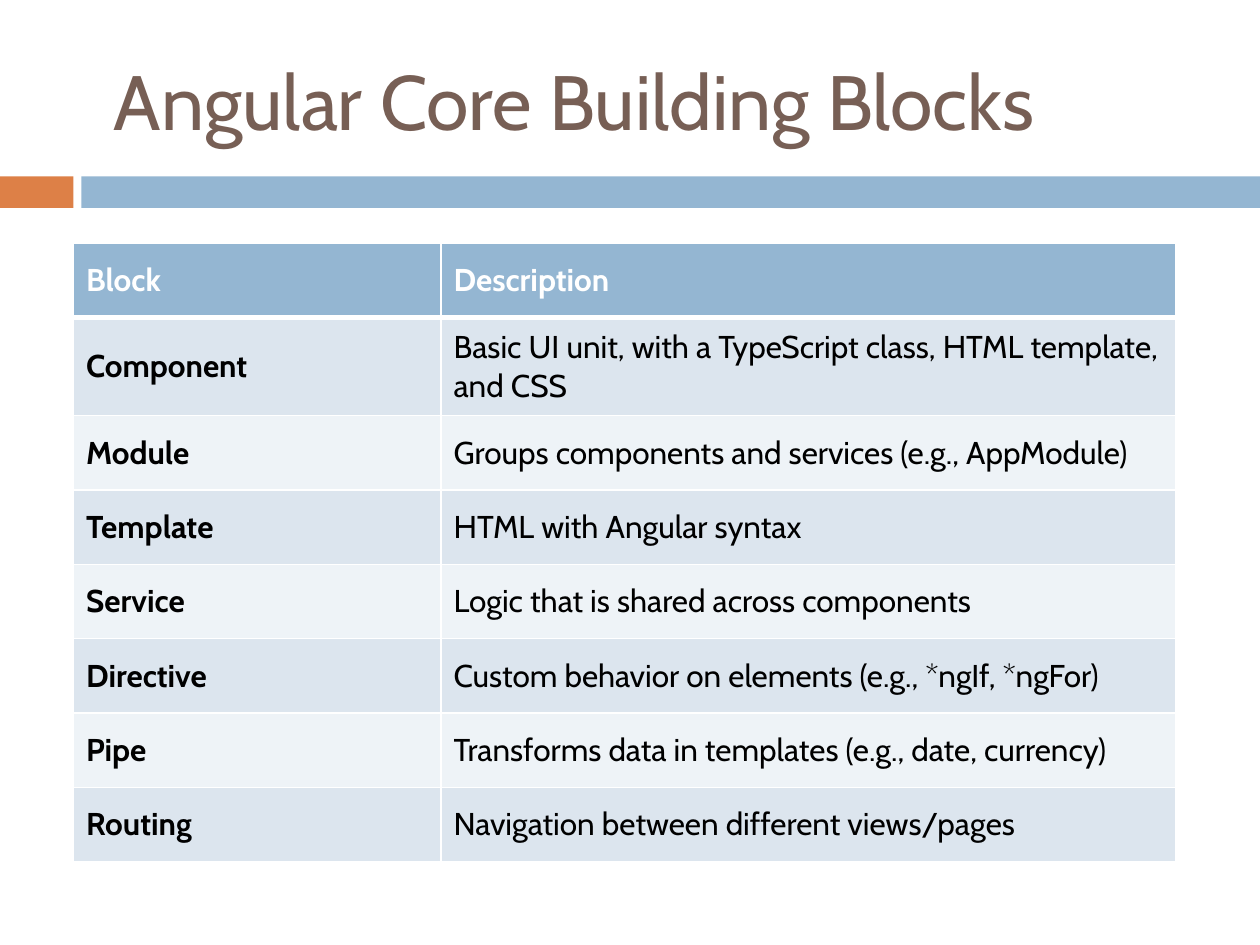
from dataclasses import dataclass

from lxml.etree import SubElement
from pptx import Presentation
from pptx.dml.color import RGBColor
from pptx.enum.shapes import MSO_SHAPE
from pptx.enum.text import MSO_ANCHOR
from pptx.oxml.ns import qn
from pptx.util import Pt


@dataclass(frozen=True)
class Theme:
    font: str = "Cabin"
    title_size: float = 44
    body_size: float = 18
    title: str = "775F55"
    accent: str = "DD8047"
    header: str = "94B6D2"
    bands: tuple = ("DCE5EE", "EEF3F7")
    text: str = "000000"
    white: str = "FFFFFF"


class SlideBuilder:
    def __init__(self, slide, theme):
        self.slide = slide
        self.theme = theme

    def format_text(self, text_frame, size, color, bold=False):
        for paragraph in text_frame.paragraphs:
            for run in paragraph.runs:
                run.font.name = self.theme.font
                run.font.size = Pt(size)
                run.font.bold = bold
                run.font.color.rgb = RGBColor.from_string(color)

    def bar(self, left, top, width, height, color):
        shape = self.slide.shapes.add_shape(
            MSO_SHAPE.RECTANGLE, Pt(left), Pt(top), Pt(width), Pt(height))
        shape.shadow.inherit = False
        shape.fill.solid()
        shape.fill.fore_color.rgb = RGBColor.from_string(color)
        shape.line.fill.background()

    def title(self, text, left, top, width, height):
        shape = self.slide.shapes.add_textbox(Pt(left), Pt(top), Pt(width), Pt(height))
        text_frame = shape.text_frame
        text_frame.word_wrap = True
        text_frame.vertical_anchor = MSO_ANCHOR.MIDDLE
        text_frame.margin_left = Pt(17)
        text_frame.text = text
        self.format_text(text_frame, self.theme.title_size, self.theme.title)

    def cell_borders(self, cell, bottom_width):
        properties = cell._tc.get_or_add_tcPr()
        widths = {"a:lnL": 1, "a:lnR": 1, "a:lnT": 1, "a:lnB": bottom_width}
        for position, (tag, width) in enumerate(widths.items()):
            line = SubElement(properties, qn(tag), w=str(Pt(width)))
            fill = SubElement(line, qn("a:solidFill"))
            SubElement(fill, qn("a:srgbClr"), val=self.theme.white)
            properties.insert(position, line)

    def cell(self, cell, text, fill, color, bold, bottom_width):
        cell.text_frame.text = text
        cell.vertical_anchor = MSO_ANCHOR.MIDDLE
        cell.fill.solid()
        cell.fill.fore_color.rgb = RGBColor.from_string(fill)
        self.format_text(cell.text_frame, self.theme.body_size, color, bold)
        self.cell_borders(cell, bottom_width)

    def table(self, rows, left, top, column_widths, row_heights):
        table = self.slide.shapes.add_table(
            len(rows), len(column_widths), Pt(left), Pt(top),
            Pt(sum(column_widths)), Pt(sum(row_heights))).table
        for column, width in zip(table.columns, column_widths):
            column.width = Pt(width)
        for row_index, (values, height) in enumerate(zip(rows, row_heights)):
            table.rows[row_index].height = Pt(height)
            is_header = row_index == 0
            fill = self.theme.header if is_header else self.theme.bands[(row_index - 1) % 2]
            color = self.theme.white if is_header else self.theme.text
            for column_index, text in enumerate(values):
                self.cell(table.cell(row_index, column_index), text, fill, color,
                          bold=is_header or column_index == 0,
                          bottom_width=3 if is_header else 1)


BLOCKS = [
    ("Block", "Description"),
    ("Component", "Basic UI unit, with a TypeScript class, HTML template, and CSS"),
    ("Module", "Groups components and services (e.g., AppModule)"),
    ("Template", "HTML with Angular syntax"),
    ("Service", "Logic that is shared across components"),
    ("Directive", "Custom behavior on elements (e.g., *ngIf, *ngFor)"),
    ("Pipe", "Transforms data in templates (e.g., date, currency)"),
    ("Routing", "Navigation between different views/pages"),
]


def main():
    presentation = Presentation()
    presentation.slide_width = Pt(720)
    presentation.slide_height = Pt(540)
    theme = Theme()
    builder = SlideBuilder(
        presentation.slides.add_slide(presentation.slide_layouts[6]), theme)

    builder.bar(0, 100.8, 42, 18, theme.accent)
    builder.bar(46.5, 100.8, 673.5, 18, theme.header)
    builder.title("Angular Core Building Blocks", 48, 18, 642, 78)
    row_heights = [42.5, 56] + [42.5] * (len(BLOCKS) - 2)
    builder.table(BLOCKS, 42, 139, [210, 420], row_heights)

    presentation.save("out.pptx")


if __name__ == "__main__":
    main()
